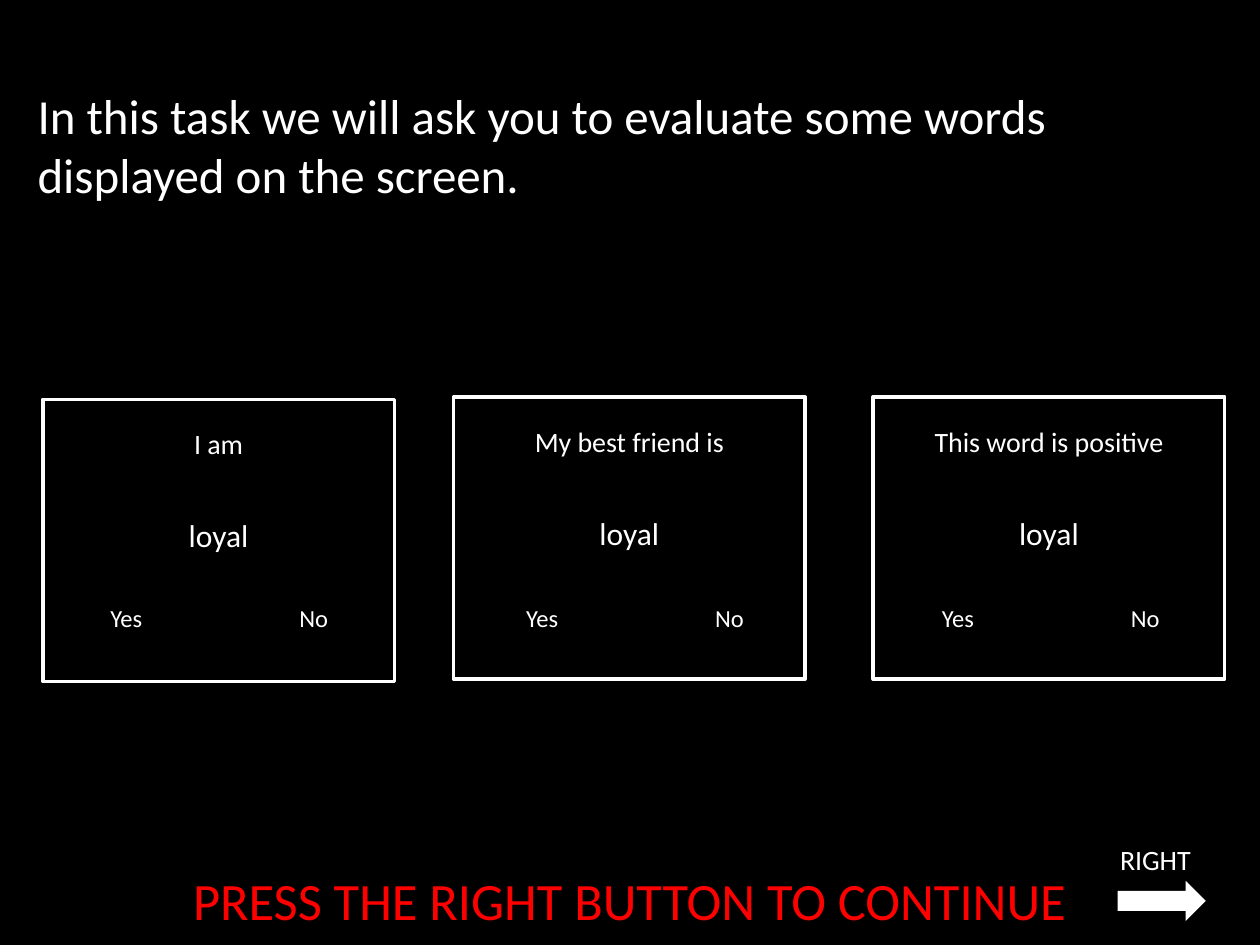
from pptx import Presentation
from pptx.dml.color import RGBColor
from pptx.enum.shapes import MSO_SHAPE
from pptx.enum.text import MSO_ANCHOR, PP_ALIGN
from pptx.util import Inches, Pt

RECTANGLE, RIGHT_ARROW = MSO_SHAPE.RECTANGLE, MSO_SHAPE.RIGHT_ARROW
LEFT, CENTER = PP_ALIGN.LEFT, PP_ALIGN.CENTER
TOP, MIDDLE = MSO_ANCHOR.TOP, MSO_ANCHOR.MIDDLE

INSTRUCTION = "In this task we will ask you to evaluate some words displayed on the screen."
CONTINUE = "PRESS THE RIGHT BUTTON TO CONTINUE"
BUTTON = "RIGHT"
WORD = "loyal"
ANSWERS = "Yes\t\t\tNo"
# prompt, left and top of each example screen
SCREENS = [
    ("I am", 0.34, 3.17),
    ("My best friend is", 3.6, 3.15),
    ("This word is positive", 6.93, 3.15),
]

THEME = {
    "font": "Calibri",
    "background": RGBColor(0, 0, 0),
    "text": RGBColor(255, 255, 255),
    "alert": RGBColor(255, 0, 0),
    "frame": 2,
    "sizes": {"continue": 30, "instruction": 28, "word": 18, "label": 16, "answers": 14},
}

SLIDE_W, SLIDE_H = 10, 7.5
SCREEN_W, SCREEN_H = 2.79, 2.24
LABEL_W = 2.48
LABEL_INSET = (SCREEN_W - LABEL_W) / 2
PROMPT_DROP, WORD_DROP = 0.17, 0.88
ANSWERS_LEFT, ANSWERS_STEP, ANSWERS_TOP = 0.5, 3.3, 4.74

presentation = Presentation()
presentation.slide_width, presentation.slide_height = Inches(SLIDE_W), Inches(SLIDE_H)
slide = presentation.slides.add_slide(presentation.slide_layouts[6])
slide.background.fill.solid()
slide.background.fill.fore_color.rgb = THEME["background"]


def add_text(words, role, box, align=CENTER, anchor=TOP, color="text"):
    frame = slide.shapes.add_textbox(*map(Inches, box)).text_frame
    frame.word_wrap = True
    frame.vertical_anchor = anchor
    paragraph = frame.paragraphs[0]
    paragraph.alignment = align
    run = paragraph.add_run()
    run.text = words
    formats = {"name": THEME["font"], "size": Pt(THEME["sizes"][role])}
    for attribute, value in formats.items():
        setattr(run.font, attribute, value)
    run.font.color.rgb = THEME[color]


def add_plain_shape(kind, box):
    shape = slide.shapes.add_shape(kind, *map(Inches, box))
    shape.shadow.inherit = False
    return shape


add_text(CONTINUE, "continue", (0, 6.78, SLIDE_W, 0.72), anchor=MIDDLE, color="alert")
add_text(BUTTON, "label", (8.33, 6.64, 1.68, 0.88))
arrow = add_plain_shape(RIGHT_ARROW, (8.87, 6.99, 0.7, 0.32))
arrow.fill.solid()
arrow.fill.fore_color.rgb = THEME["text"]
arrow.line.fill.background()

add_text(INSTRUCTION, "instruction", (0.2, 0.63, 0.96 * SLIDE_W, 2.08), align=LEFT)

for column, (prompt, left, top) in enumerate(SCREENS):
    screen = add_plain_shape(RECTANGLE, (left, top, SCREEN_W, SCREEN_H))
    screen.fill.background()
    screen.line.color.rgb = THEME["text"]
    screen.line.width = Pt(THEME["frame"])
    label_left = left + LABEL_INSET
    answers_left = ANSWERS_LEFT + column * ANSWERS_STEP
    add_text(prompt, "label", (label_left, top + PROMPT_DROP, LABEL_W, 0.37))
    add_text(WORD, "word", (label_left, top + WORD_DROP, LABEL_W, 0.4))
    add_text(ANSWERS, "answers", (answers_left, ANSWERS_TOP, LABEL_W, 0.34))

presentation.save("out.pptx")
